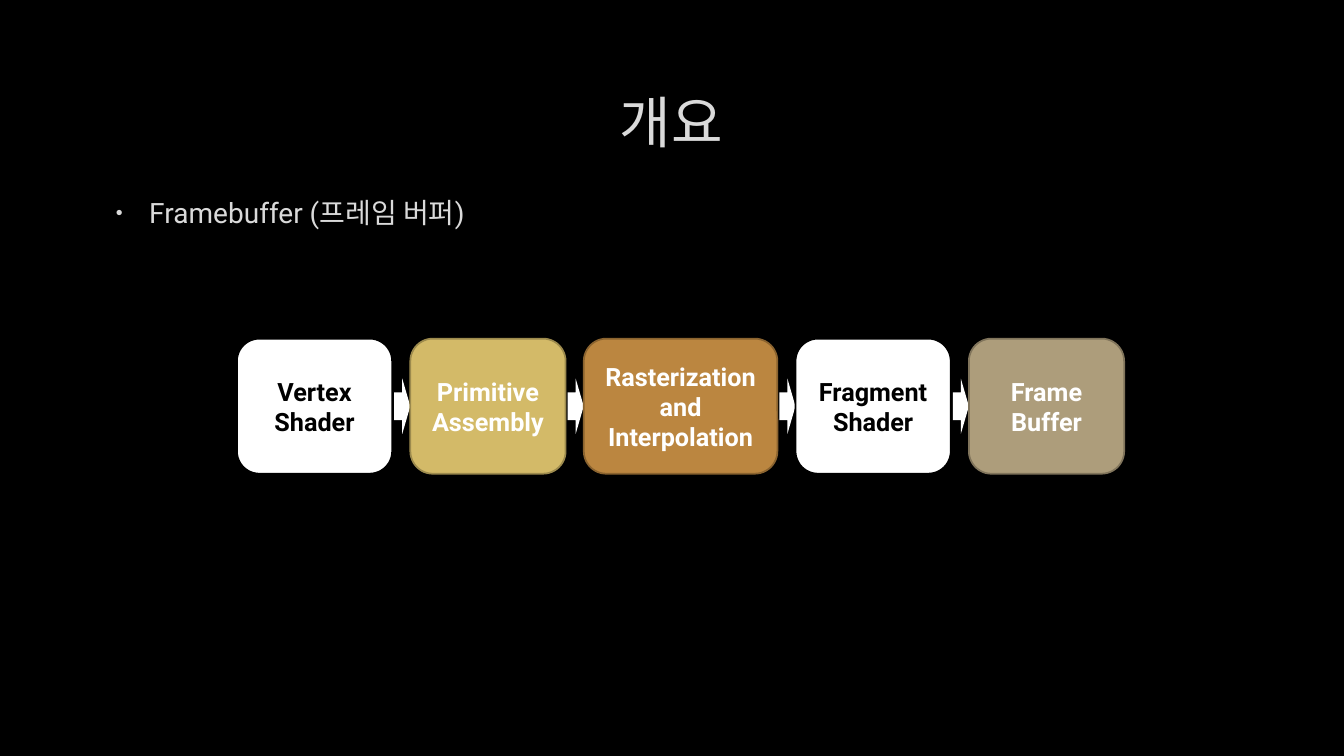
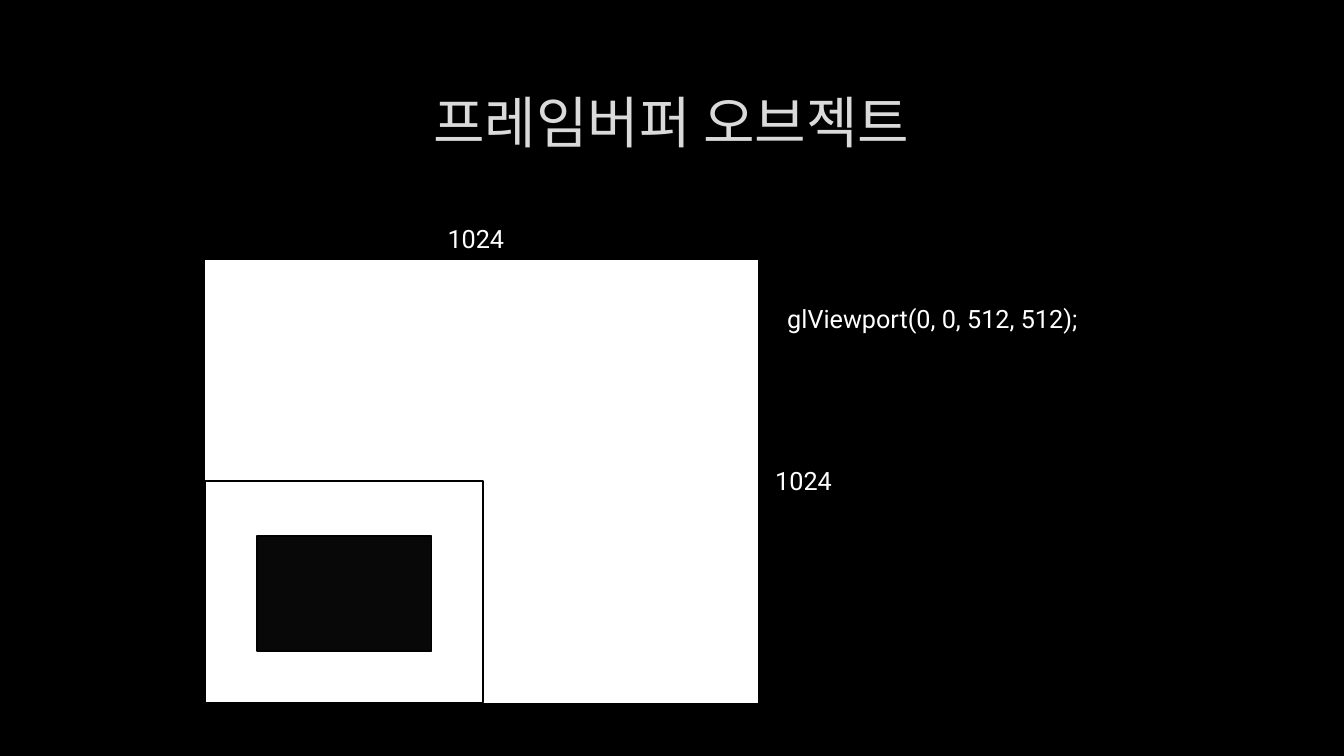
from lxml.etree import SubElement
from pptx import Presentation
from pptx.dml.color import RGBColor
from pptx.enum.shapes import MSO_SHAPE
from pptx.enum.text import MSO_ANCHOR, MSO_AUTO_SIZE, PP_ALIGN
from pptx.oxml import parse_xml
from pptx.oxml.ns import nsdecls, qn
from pptx.util import Inches, Pt

BLACK = RGBColor(0x00, 0x00, 0x00)
WHITE = RGBColor(0xFF, 0xFF, 0xFF)
SILVER = RGBColor(0xDA, 0xDA, 0xDA)
CHARCOAL = RGBColor(0x40, 0x40, 0x40)
NEAR_BLACK = RGBColor(0x08, 0x08, 0x09)
GOLD = RGBColor(0xD3, 0xBA, 0x68)
DARK_GOLD = RGBColor(0x9C, 0x8A, 0x4D)
BRONZE = RGBColor(0xBB, 0x86, 0x40)
DARK_BRONZE = RGBColor(0x8A, 0x63, 0x2F)
SAND = RGBColor(0xAD, 0x9D, 0x7B)
DARK_SAND = RGBColor(0x80, 0x74, 0x5B)

FONT = "Roboto"
CONTENT_LAYOUT, TITLE_ONLY_LAYOUT = 1, 5
MARGIN, CONTENT_WIDTH = 1, 11.32


class DeckBuilder:
    """Holds the shared style and the slide being filled; lengths are in inches."""

    def __init__(self):
        self.deck = Presentation()
        self.deck.slide_width = Inches(13.33)
        self.deck.slide_height = Inches(7.5)
        background = self.deck.slide_master.background.fill
        background.solid()
        background.fore_color.rgb = BLACK
        self.page = None

    def place(self, shape, left, top, width, height):
        shape.left, shape.top = Inches(left), Inches(top)
        shape.width, shape.height = Inches(width), Inches(height)

    def set_text(self, shape, text, size, color, align, bold=False):
        frame = shape.text_frame
        frame.text = text
        frame.word_wrap = True
        paragraph = frame.paragraphs[0]
        paragraph.alignment = align
        font = paragraph.runs[0].font
        font.name, font.size, font.bold = FONT, Pt(size), bold
        font.color.rgb = color
        return paragraph

    def outline(self, paragraph):
        """Give the text a faint, mostly transparent contour."""
        for span in paragraph.runs:
            span.font._element.insert(0, parse_xml(
                f'<a:ln {nsdecls("a")} w="{Pt(0.75)}"><a:solidFill>'
                f'<a:srgbClr val="{CHARCOAL}"><a:alpha val="10000"/></a:srgbClr>'
                '</a:solidFill></a:ln>'))

    def add_page(self, title, layout=TITLE_ONLY_LAYOUT):
        self.page = self.deck.slides.add_slide(self.deck.slide_layouts[layout])
        heading = self.page.shapes.title
        self.place(heading, MARGIN, 0.67, CONTENT_WIDTH, 1.06)
        heading.text_frame.vertical_anchor = MSO_ANCHOR.MIDDLE
        self.outline(self.set_text(heading, title, 40, SILVER, PP_ALIGN.CENTER))

    def add_bullet(self, text):
        body = self.page.placeholders[1]
        self.place(body, MARGIN, 1.89, CONTENT_WIDTH, 4.44)
        paragraph = self.set_text(body, text, 20, SILVER, PP_ALIGN.LEFT)
        body.text_frame.auto_size = MSO_AUTO_SIZE.NONE
        paragraph.space_after = Pt(6)
        self.outline(paragraph)
        properties = paragraph._p.get_or_add_pPr()
        properties.set("marL", str(Inches(0.38)))
        properties.set("indent", str(Inches(-0.33)))
        bullet_color = SubElement(properties, qn("a:buClr"))
        SubElement(bullet_color, qn("a:srgbClr"), val=str(SILVER))
        SubElement(properties, qn("a:buSzPct"), val="70000")
        SubElement(properties, qn("a:buFont"), typeface="Arial")
        SubElement(properties, qn("a:buChar"), char="•")

    def add_block(self, kind, left, top, width, height, fill=WHITE, line=BLACK):
        block = self.page.shapes.add_shape(
            kind, Inches(left), Inches(top), Inches(width), Inches(height))
        block.shadow.inherit = False
        block.fill.solid()
        block.fill.fore_color.rgb = fill
        if line is None:
            block.line.fill.background()
        else:
            block.line.color.rgb = line
            block.line.width = Pt(1.25)
        return block

    def add_label(self, text, left, top, width, align=PP_ALIGN.CENTER):
        label = self.page.shapes.add_textbox(
            Inches(left), Inches(top), Inches(width), Inches(0.4))
        self.set_text(label, text, 18, WHITE, align)

    def add_pipeline(self, stages, left, top, height, gap):
        """Draw the stages in a row, with an arrow in each gap."""
        arrow_width, arrow_height = 0.16, 0.55
        arrow_top = top + (height - arrow_height) / 2
        for index, (text, width, fill, line, color) in enumerate(stages):
            if index:
                self.add_block(MSO_SHAPE.RIGHT_ARROW, left - arrow_width, arrow_top,
                               arrow_width, arrow_height, line=None)
            stage = self.add_block(MSO_SHAPE.ROUNDED_RECTANGLE, left, top,
                                   width, height, fill, line)
            stage.text_frame.vertical_anchor = MSO_ANCHOR.MIDDLE
            self.set_text(stage, text, 18, color, PP_ALIGN.CENTER, bold=True)
            left += width + gap


def build_overview(builder):
    builder.add_page("개요", CONTENT_LAYOUT)
    builder.add_bullet("Framebuffer (프레임 버퍼)")
    stages = [
        ("Vertex Shader", 1.54, WHITE, BLACK, BLACK),
        ("Primitive Assembly", 1.54, GOLD, DARK_GOLD, WHITE),
        ("Rasterization and Interpolation", 1.92, BRONZE, DARK_BRONZE, WHITE),
        ("Fragment Shader", 1.54, WHITE, BLACK, BLACK),
        ("Frame Buffer", 1.54, SAND, DARK_SAND, WHITE),
    ]
    builder.add_pipeline(stages, left=2.35, top=3.36, height=1.34, gap=0.18)


def build_framebuffer_object(builder):
    builder.add_page("프레임버퍼 오브젝트")
    # Framebuffer, the viewport in its lower left corner, and the drawn area
    builder.add_block(MSO_SHAPE.RECTANGLE, 2.02, 2.57, 5.51, 4.41)
    builder.add_block(MSO_SHAPE.RECTANGLE, 2.03, 4.77, 2.76, 2.2)
    builder.add_block(MSO_SHAPE.RECTANGLE, 2.55, 5.32, 1.73, 1.14, NEAR_BLACK)
    builder.add_label("1024", 3.97, 2.17, 1.5)
    builder.add_label("1024", 7.22, 4.57, 1.5)
    builder.add_label("glViewport(0, 0, 512, 512);", 7.71, 2.96, 3.94, PP_ALIGN.LEFT)


def main():
    builder = DeckBuilder()
    build_overview(builder)
    build_framebuffer_object(builder)
    builder.deck.save("out.pptx")


if __name__ == "__main__":
    main()
